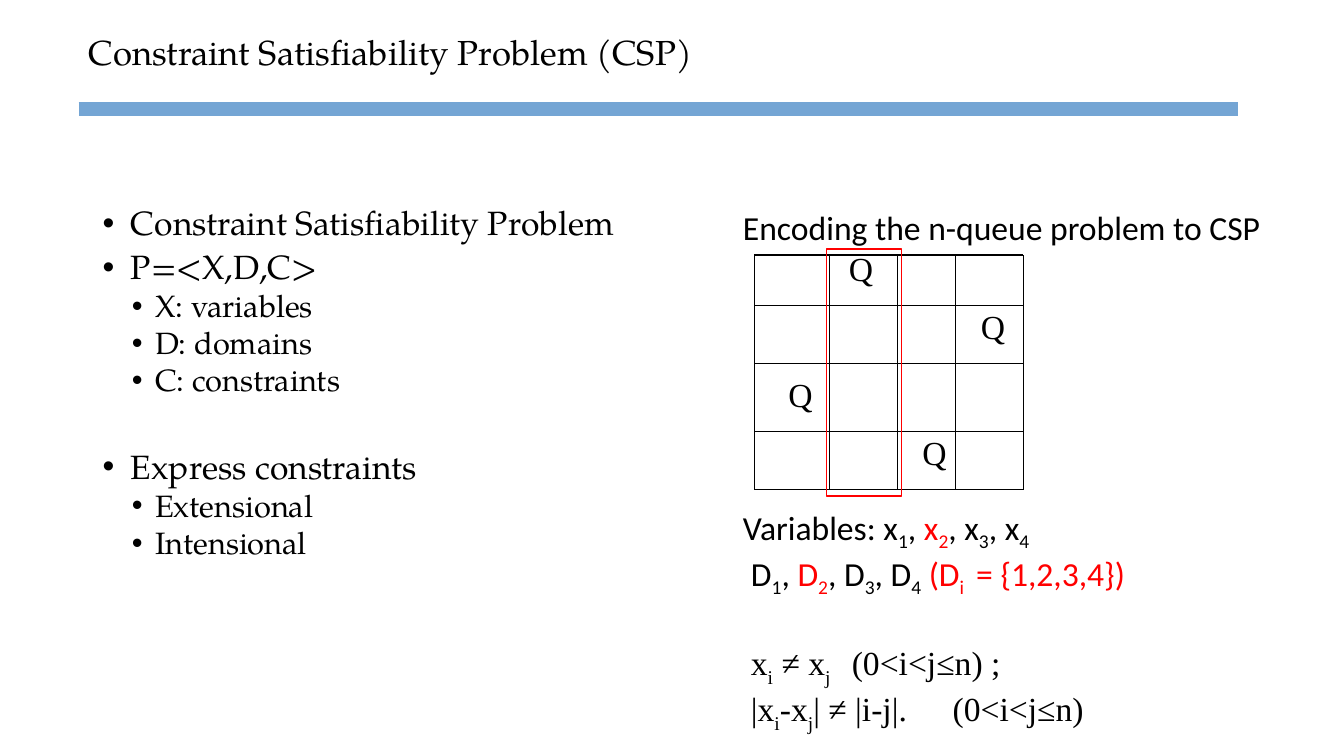
"""Build a slide on constraint satisfiability with a four-queens board."""
from dataclasses import dataclass

from lxml import etree
from pptx import Presentation
from pptx.dml.color import RGBColor
from pptx.enum.shapes import MSO_CONNECTOR, MSO_SHAPE
from pptx.enum.text import MSO_ANCHOR, PP_ALIGN
from pptx.oxml.ns import qn
from pptx.slide import Slide
from pptx.text.text import TextFrame
from pptx.util import Emu, Pt

STRAIGHT = MSO_CONNECTOR.STRAIGHT
RECTANGLE = MSO_SHAPE.RECTANGLE
MIDDLE, TOP = MSO_ANCHOR.MIDDLE, MSO_ANCHOR.TOP
LEFT = PP_ALIGN.LEFT
BLACK = RGBColor(0x00, 0x00, 0x00)
RED = RGBColor(0xFF, 0x00, 0x00)
BAR_BLUE = RGBColor(0x74, 0xA5, 0xD4)
PAGELLA, CALIBRI, TIMES = "TeX Gyre Pagella", "Calibri", "Times New Roman"
TITLE_ONLY_LAYOUT = 5
EMU_PER_PX = 9144
COLUMN_EDGES = (748, 823, 890, 948, 1015)
ROW_EDGES = (253, 303, 361, 428, 486)


@dataclass(frozen=True)
class Box:
    left: int
    top: int
    width: int
    height: int


@dataclass(frozen=True)
class Piece:
    text: str
    color: RGBColor = BLACK
    subscript: bool = False


@dataclass(frozen=True)
class Line:
    pieces: tuple[Piece, ...]
    size: float = 24
    font: str = CALIBRI
    level: int = 0
    margin: int = 0
    hanging: int = 0
    spacing: float = 1.0
    before: float = 0
    tab: int = 0


def px(length: int) -> Emu:
    return Emu(length * EMU_PER_PX)


def plain(text: str, **line_format) -> Line:
    return Line((Piece(text),), **line_format)


def bullet(text: str, level: int = 0, before: float = 5.6) -> Line:
    if level:
        return plain(text, size=22, font=PAGELLA, level=1, margin=52, hanging=23,
                     spacing=0.9, before=2.8)
    return plain(text, font=PAGELLA, margin=28, hanging=28, spacing=0.9, before=before)


def indexed(name: str, index: str, color: RGBColor = BLACK) -> tuple[Piece, Piece]:
    return Piece(name, color), Piece(index, color, True)


def series(name: str) -> tuple[Piece, ...]:
    return (*indexed(name, "1"), Piece(", "), *indexed(name, "2", RED),
            *indexed(f", {name}", "3"), *indexed(f", {name}", "4"))


def write_text(frame: TextFrame, lines: list[Line], *, wrap: bool = True,
               anchor: MSO_ANCHOR = TOP) -> None:
    frame.word_wrap = wrap
    frame.vertical_anchor = anchor
    for number, line in enumerate(lines):
        paragraph = frame.add_paragraph() if number else frame.paragraphs[0]
        paragraph.alignment = LEFT
        paragraph.level = line.level
        paragraph.line_spacing = line.spacing
        paragraph.space_before = Pt(line.before)
        properties = paragraph._p.get_or_add_pPr()
        properties.set("marL", str(px(line.margin)))
        properties.set("indent", str(px(-line.hanging)))
        if line.hanging:
            etree.SubElement(properties, qn("a:buFont"), typeface="Arial")
            etree.SubElement(properties, qn("a:buChar"), char="•")
        if line.tab:
            tabs = etree.SubElement(properties, qn("a:tabLst"))
            etree.SubElement(tabs, qn("a:tab"), pos=str(px(line.tab)), algn="l")
        for piece in line.pieces:
            run = paragraph.add_run()
            run.text = piece.text
            run.font.name = line.font
            run.font.size = Pt(line.size)
            run.font.color.rgb = piece.color
            if piece.subscript:
                run._r.get_or_add_rPr().set("baseline", "-25000")


def add_text(slide: Slide, box: Box, lines: list[Line], *, wrap: bool = True) -> None:
    shape = slide.shapes.add_textbox(px(box.left), px(box.top), px(box.width), px(box.height))
    write_text(shape.text_frame, lines, wrap=wrap)


def add_line(slide: Slide, start: tuple[int, int], end: tuple[int, int], *,
             color: RGBColor = BLACK, width: float = 0.75) -> None:
    connector = slide.shapes.add_connector(STRAIGHT, *map(px, start), *map(px, end))
    connector.line.color.rgb = color
    connector.line.width = Pt(width)
    etree.SubElement(connector._element.spPr, qn("a:effectLst"))


def add_title(slide: Slide) -> None:
    title = slide.shapes.title
    title.left, title.top, title.width, title.height = map(px, (78, 8, 1164, 92))
    heading = plain("Constraint Satisfiability Problem (CSP)", size=24.8, font=PAGELLA, spacing=0.9)
    write_text(title.text_frame, [heading], anchor=MIDDLE)
    add_line(slide, (78, 108), (1228, 108), color=BAR_BLUE, width=9.5)


def add_definition(slide: Slide) -> None:
    add_text(slide, Box(92, 200, 635, 476), [
        bullet("Constraint Satisfiability Problem"),
        bullet("P=<X,D,C>"),
        bullet("X: variables", level=1),
        bullet("D: domains", level=1),
        bullet("C: constraints", level=1),
        bullet("Express constraints", before=37),
        bullet("Extensional", level=1),
        bullet("Intensional", level=1),
    ])


def add_board(slide: Slide) -> None:
    for x in COLUMN_EDGES:
        add_line(slide, (x, ROW_EDGES[0]), (x, ROW_EDGES[-1]))
    for y in ROW_EDGES:
        add_line(slide, (COLUMN_EDGES[0], y), (COLUMN_EDGES[-1], y))
    for left, top in ((832, 241), (963, 299), (772, 366), (905, 424)):
        add_text(slide, Box(left, top, 44, 50), [plain("Q", font=TIMES)], wrap=False)


def add_encoding(slide: Slide) -> None:
    add_text(slide, Box(727, 200, 538, 50), [plain("Encoding the n-queue problem to CSP")],
             wrap=False)
    domain = (Piece(" (D", RED), Piece("i ", RED, True), Piece(" = {1,2,3,4})", RED))
    different_rows = (*indexed("x", "i"), *indexed(" ≠ x", "j"), Piece("\t(0<i<j≤n) ;"))
    different_diagonals = (*indexed("|x", "i"), *indexed("-x", "j"),
                           Piece("| ≠ |i-j|.\t(0<i<j≤n)"))
    add_text(slide, Box(727, 498, 430, 239), [
        Line((Piece("Variables: "), *series("x"))),
        Line((*series("D"), *domain), margin=8),
        Line(different_rows, font=TIMES, margin=8, before=31, tab=109),
        Line(different_diagonals, font=TIMES, margin=8, tab=196),
    ])


def add_column_highlight(slide: Slide) -> None:
    highlight = slide.shapes.add_shape(RECTANGLE, px(820), px(247), px(74), px(245))
    highlight.shadow.inherit = False
    highlight.fill.background()
    highlight.line.color.rgb = RED
    highlight.line.width = Pt(1)


def main() -> None:
    presentation = Presentation()
    presentation.slide_width, presentation.slide_height = px(1333), px(750)
    slide = presentation.slides.add_slide(presentation.slide_layouts[TITLE_ONLY_LAYOUT])
    add_title(slide)
    add_definition(slide)
    add_board(slide)
    add_encoding(slide)
    add_column_highlight(slide)
    presentation.save("out.pptx")


if __name__ == "__main__":
    main()
